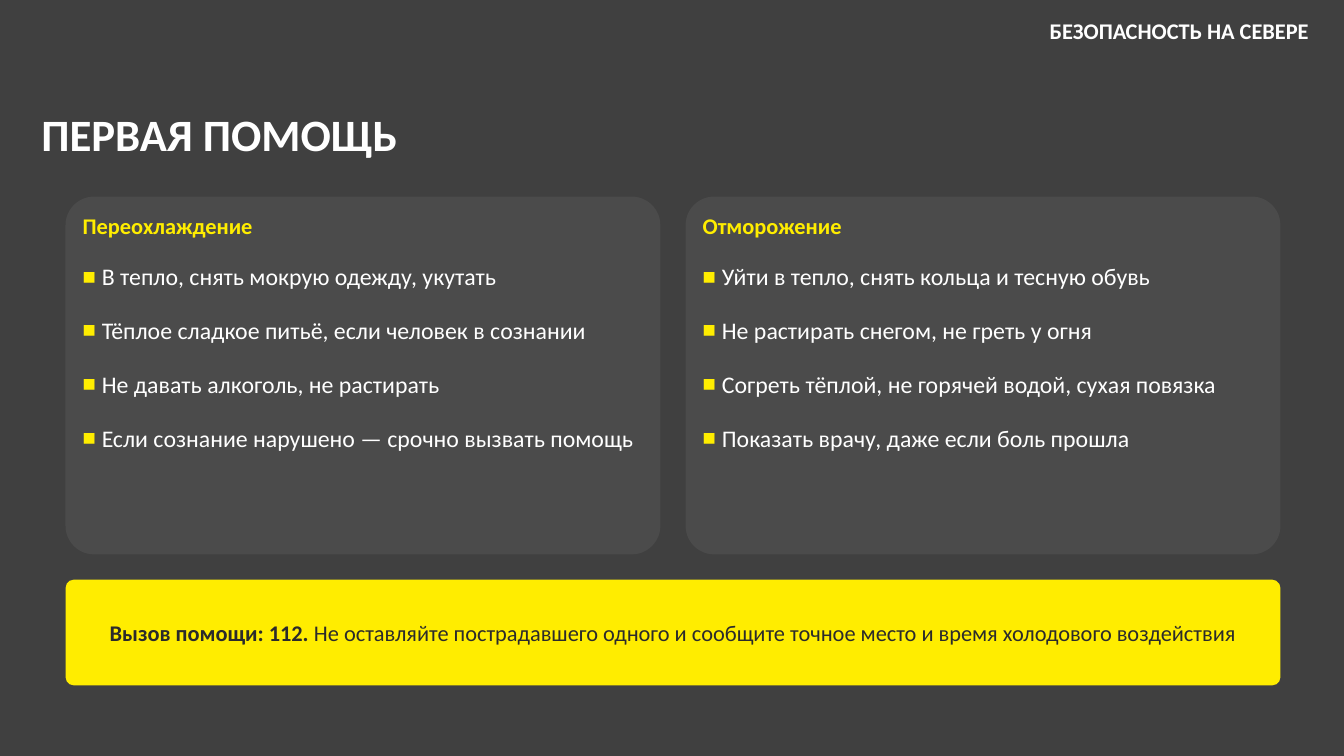
"""Build the first-aid slide."""
from lxml import etree
from pptx import Presentation
from pptx.dml.color import RGBColor
from pptx.enum.shapes import MSO_SHAPE
from pptx.enum.text import MSO_ANCHOR, MSO_AUTO_SIZE, PP_ALIGN
from pptx.oxml.ns import qn
from pptx.util import Inches, Pt

ROUND = MSO_SHAPE.ROUNDED_RECTANGLE
TOP, MIDDLE = MSO_ANCHOR.TOP, MSO_ANCHOR.MIDDLE
LEFT, CENTER, RIGHT = PP_ALIGN.LEFT, PP_ALIGN.CENTER, PP_ALIGN.RIGHT
FIXED = MSO_AUTO_SIZE.NONE

FONT = "Calibri"
COLORS = {
    "back": "404040",
    "card": "4B4B4B",
    "accent": "FFED00",
    "white": "FFFFFF",
    "dark": "2B2B2B",
}
EDGE, GAP, WIDTH = 0.65, 0.25, 5.9
CARDS = [
    ("Переохлаждение", [
        "В тепло, снять мокрую одежду, укутать",
        "Тёплое сладкое питьё, если человек в сознании",
        "Не давать алкоголь, не растирать",
        "Если сознание нарушено — срочно вызвать помощь",
    ]),
    ("Отморожение", [
        "Уйти в тепло, снять кольца и тесную обувь",
        "Не растирать снегом, не греть у огня",
        "Согреть тёплой, не горячей водой, сухая повязка",
        "Показать врачу, даже если боль прошла",
    ]),
]


def rgb(name):
    """Return the named colour."""
    return RGBColor.from_string(COLORS[name])


def bullet(para):
    """Give a paragraph a small square bullet in the accent colour."""
    props = para._p.get_or_add_pPr()
    props.set("marL", str(Inches(0.19)))
    props.set("indent", str(-Inches(0.19)))
    tint = etree.SubElement(props, qn("a:buClr"))
    etree.SubElement(tint, qn("a:srgbClr"), val=COLORS["accent"])
    etree.SubElement(props, qn("a:buSzPct"), val="59000")
    etree.SubElement(props, qn("a:buFont"), typeface=FONT)
    etree.SubElement(props, qn("a:buChar"), char="■")


def write(frame, lines, size=16, color="white", bold=False, align=LEFT,
          anchor=TOP, pad=(0.1, 0.05), after=0, marks=False):
    """Fill a text frame with lines, each a string or a list of (text, bold)."""
    frame.word_wrap = True
    frame.auto_size = FIXED
    frame.vertical_anchor = anchor
    frame.margin_left = frame.margin_right = Inches(pad[0])
    frame.margin_top = frame.margin_bottom = Inches(pad[1])
    for i, line in enumerate(lines):
        para = frame.add_paragraph() if i else frame.paragraphs[0]
        para.alignment = align
        para.space_after = Pt(after)
        if marks:
            bullet(para)
        runs = [(line, bold)] if isinstance(line, str) else line
        for words, heavy in runs:
            run = para.add_run()
            run.text = words
            run.font.name = FONT
            run.font.size = Pt(size)
            run.font.bold = heavy
            run.font.color.rgb = rgb(color)


def label(slide, box, lines, **style):
    """Add a text box."""
    shape = slide.shapes.add_textbox(*map(Inches, box))
    write(shape.text_frame, lines, **style)


def panel(slide, box, color):
    """Add a rounded panel and return it."""
    shape = slide.shapes.add_shape(ROUND, *map(Inches, box))
    shape.adjustments[0] = 0.08
    shape.shadow.inherit = False
    shape.fill.solid()
    shape.fill.fore_color.rgb = rgb(color)
    shape.line.fill.background()
    return shape


def card(slide, left, head, steps):
    """Add a card with a heading and bulleted steps."""
    panel(slide, (left, 1.95, WIDTH, 3.55), "card")
    inner, pad = left + 0.15, (0.02, 0.03)
    label(slide, (inner, 2.07, 5.6, 0.4), [head],
          color="accent", bold=True, pad=pad)
    label(slide, (inner, 2.57, 5.6, 2.85), steps,
          size=17, pad=pad, after=18, marks=True)


def heading(slide, words):
    """Place and format the slide title."""
    title = slide.shapes.title
    title.left, title.top = Inches(0.31), Inches(1.01)
    title.width, title.height = Inches(11.56), Inches(0.77)
    write(title.text_frame, [words], size=32, bold=True)


def main():
    """Build and save the slide."""
    deck = Presentation()
    deck.slide_width, deck.slide_height = Inches(13.33), Inches(7.5)
    slide = deck.slides.add_slide(deck.slide_layouts[5])
    slide.background.fill.solid()
    slide.background.fill.fore_color.rgb = rgb("back")

    heading(slide, "ПЕРВАЯ ПОМОЩЬ")
    label(slide, (9.28, 0.12, 3.8, 0.37), ["БЕЗОПАСНОСТЬ НА СЕВЕРЕ"],
          bold=True, align=RIGHT)
    for i, (head, steps) in enumerate(CARDS):
        card(slide, EDGE + i * (WIDTH + GAP), head, steps)

    call = panel(slide, (EDGE, 5.75, 2 * WIDTH + GAP, 1.05), "accent")
    note = [
        ("Вызов помощи: 112. ", True),
        ("Не оставляйте пострадавшего одного и сообщите точное место "
         "и время холодового воздействия", False),
    ]
    write(call.text_frame, [note], color="dark", align=CENTER,
          anchor=MIDDLE, pad=(0.12, 0.03))
    deck.save("out.pptx")


if __name__ == "__main__":
    main()
